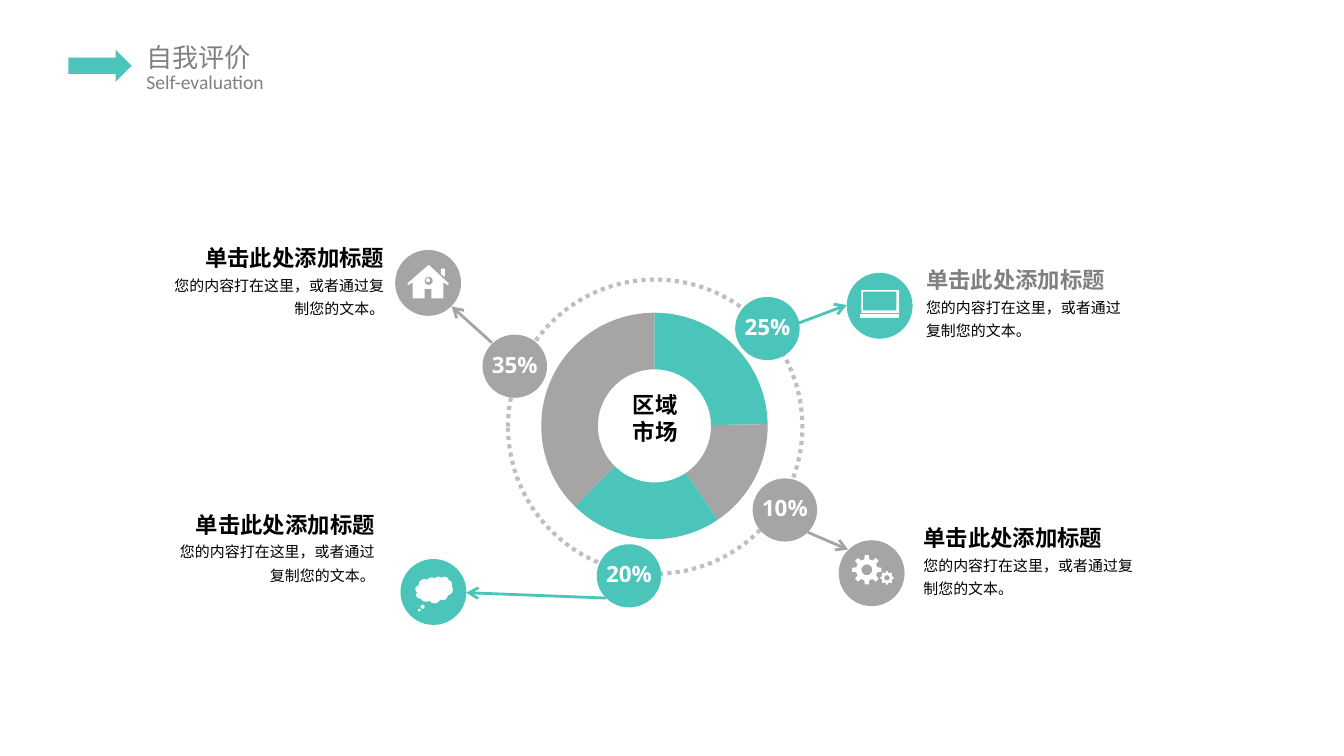
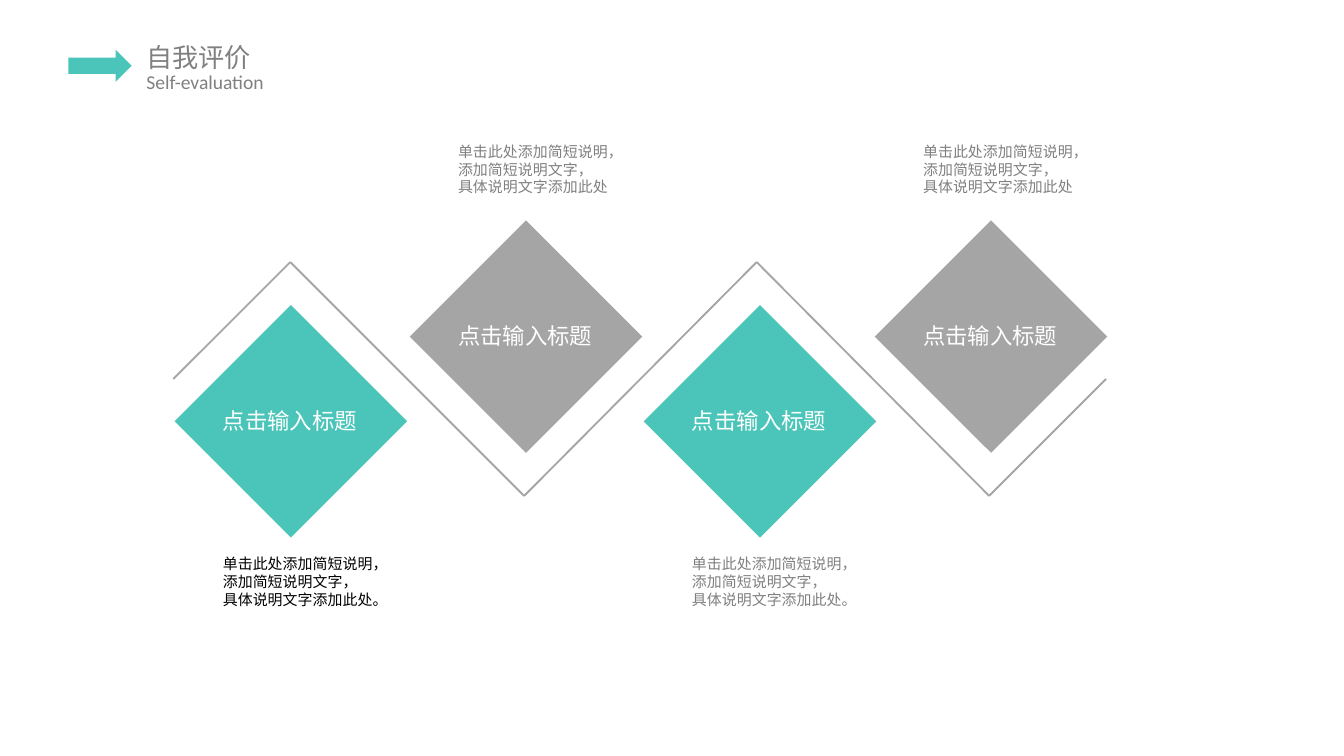
import itertools
import math

import lxml.etree
import pptx
import pptx.chart.data
import pptx.dml.color
import pptx.enum.chart
import pptx.enum.dml
import pptx.enum.shapes
import pptx.enum.text
import pptx.oxml
import pptx.oxml.ns
import pptx.util

Inches = pptx.util.Inches
Pt = pptx.util.Pt
SHAPE = pptx.enum.shapes.MSO_SHAPE
ALIGN = pptx.enum.text.PP_ALIGN
qn = pptx.oxml.ns.qn

COLORS = {
    "teal": "4BC5B9",
    "gray": "A5A5A5",
    "zigzag": "A6A6A6",
    "ring": "BFBFBF",
    "muted": "808080",
    "black": "000000",
    "white": "FFFFFF",
}
CJK, LATIN, DIGITS = "Noto Sans CJK SC", "Calibri", "Open Sans"


def color(name):
    return pptx.dml.color.RGBColor.from_string(COLORS[name])


def add_text(paragraph, text, size=12, font=CJK, ink="black", bold=False):
    span = paragraph.add_run()
    span.text = text
    span.font.size = Pt(size)
    span.font.bold = bold
    span.font.color.rgb = color(ink)
    span.font.name = font
    east_asian = lxml.etree.SubElement(span.font._element, qn("a:ea"))
    east_asian.set("typeface", font)


def circle_points(x, y, radius, count=24):
    angles = [2 * math.pi * step / count for step in range(count)]
    return [(x + radius * math.cos(a), y + radius * math.sin(a)) for a in angles]


def gear_points(x, y, outer, inner, teeth=8):
    """Outline that alternates between the tips and the roots of the teeth."""
    points = []
    for tooth in range(teeth):
        for shift, radius in ((-0.3, inner), (-0.17, outer), (0.17, outer), (0.3, inner)):
            angle = 2 * math.pi * (tooth + shift) / teeth
            points.append((x + radius * math.cos(angle), y + radius * math.sin(angle)))
    return points


def box_points(left, top, right, bottom):
    return [(left, top), (right, top), (right, bottom), (left, bottom)]


class Deck:
    def __init__(self):
        self.deck = pptx.Presentation()
        self.deck.slide_width = Inches(10)
        self.deck.slide_height = Inches(10) * 9 // 16
        self.page = None

    def new_page(self, title, subtitle):
        self.page = self.deck.slides.add_slide(self.deck.slide_layouts[6])
        heading = {"margins": (0.11, 0.05), "wrap": False, "ink": "muted"}
        self.text((0.98, 0.26, 1, 0.34), [title], size=14, **heading)
        self.text((0.98, 0.47, 1.11, 0.28), [subtitle], size=10.5, font=LATIN, **heading)
        self.shape(SHAPE.RIGHT_ARROW, (0.51, 0.37, 0.47, 0.24), "teal")

    def text(self, at, lines, margins=(0.1, 0.05), wrap=True, align=ALIGN.LEFT,
             spacing=None, **style):
        """Each line is a string, or a (string, extra style) pair."""
        frame = self.page.shapes.add_textbox(*map(Inches, at)).text_frame
        frame.word_wrap = wrap
        frame.auto_size = pptx.enum.text.MSO_AUTO_SIZE.SHAPE_TO_FIT_TEXT
        frame.margin_left = frame.margin_right = Inches(margins[0])
        frame.margin_top = frame.margin_bottom = Inches(margins[1])
        for number, line in enumerate(lines):
            words, extra = (line, {}) if isinstance(line, str) else line
            paragraph = frame.add_paragraph() if number else frame.paragraphs[0]
            paragraph.alignment = align
            if spacing:
                paragraph.line_spacing = spacing
            add_text(paragraph, words, **{**style, **extra})

    def paint(self, shape, fill):
        shape.shadow.inherit = False
        shape.line.fill.background()
        if fill:
            shape.fill.solid()
            shape.fill.fore_color.rgb = color(fill)
        else:
            shape.fill.background()
        return shape

    def shape(self, kind, at, fill=None):
        return self.paint(self.page.shapes.add_shape(kind, *map(Inches, at)), fill)

    def outline(self, *contours, fill="white"):
        """Filled freeform; contours after the first cut holes."""
        first, *holes = [[(Inches(x), Inches(y)) for x, y in points] for points in contours]
        builder = self.page.shapes.build_freeform(*first[0])
        builder.add_line_segments(first[1:], close=True)
        for hole in holes:
            builder.move_to(*hole[0])
            builder.add_line_segments(hole[1:], close=True)
        self.paint(builder.convert_to_shape(), fill)

    def line(self, start, end, ink, width, arrow=False):
        connector = self.page.shapes.add_connector(
            pptx.enum.shapes.MSO_CONNECTOR.STRAIGHT, *map(Inches, (*start, *end)))
        connector.line.color.rgb = color(ink)
        connector.line.width = Pt(width)
        if arrow:
            tail = lxml.etree.SubElement(connector.line._get_or_add_ln(), qn("a:tailEnd"))
            tail.set("type", "arrow")
        lxml.etree.SubElement(connector._element.spPr, qn("a:effectLst"))

    def doughnut(self, at, values, inks, hole, plot):
        """plot is the ring's left, top, width and height as shares of the chart."""
        data = pptx.chart.data.CategoryChartData()
        data.categories = [str(number + 1) for number in range(len(values))]
        data.add_series("Series 1", values)
        chart = self.page.shapes.add_chart(
            pptx.enum.chart.XL_CHART_TYPE.DOUGHNUT, *map(Inches, at), data).chart
        chart.has_legend = chart.has_title = False
        chart.font.size = Pt(18)
        chart.font.name = LATIN
        chart.font.color.rgb = color("black")
        series = chart.plots[0].series[0]
        for number, ink in enumerate(inks):
            part = series.points[number].format
            part.fill.solid()
            part.fill.fore_color.rgb = color(ink)
            part.line.fill.background()
        area = chart._chartSpace.find(".//" + qn("c:plotArea"))
        area.find(".//" + qn("c:holeSize")).set("val", str(hole))
        layout = area.find(qn("c:layout"))
        if layout is None:
            layout = lxml.etree.Element(qn("c:layout"))
            area.insert(0, layout)
        manual = lxml.etree.SubElement(layout, qn("c:manualLayout"))
        settings = [("layoutTarget", "inner"), ("xMode", "edge"), ("yMode", "edge")]
        for name, value in settings + list(zip("xywh", plot)):
            lxml.etree.SubElement(manual, qn("c:" + name)).set("val", str(value))


def draw_house(deck):
    right_half = [(3.19, 1.97), (3.34, 2.11), (3.33, 2.12), (3.3, 2.1), (3.3, 2.22),
                  (3.21, 2.22), (3.21, 2.15)]
    left_half = [(6.37 - x, y) for x, y in reversed(right_half[1:])]
    deck.outline(right_half + left_half, circle_points(3.19, 2.09, 0.03))
    deck.outline([(3.31, 2.06), (3.31, 2), (3.28, 2), (3.28, 2.04)])
    deck.shape(SHAPE.OVAL, (3.17, 2.07, 0.03, 0.03), "white")


def draw_laptop(deck):
    deck.outline(box_points(6.41, 2.16, 6.69, 2.33), box_points(6.42, 2.17, 6.67, 2.31))
    deck.outline(box_points(6.4, 2.34, 6.69, 2.37))


def draw_gears(deck):
    for x, y, outer, inner, hole in ((6.45, 4.24, 0.11, 0.08, 0.04),
                                     (6.6, 4.3, 0.05, 0.04, 0.02)):
        deck.outline(gear_points(x, y, outer, inner), circle_points(x, y, hole))


def draw_thought(deck):
    deck.shape(SHAPE.CLOUD, (3.09, 4.29, 0.28, 0.2), "white")
    deck.shape(SHAPE.OVAL, (3.13, 4.5, 0.03, 0.03), "white")
    deck.shape(SHAPE.OVAL, (3.11, 4.53, 0.02, 0.02), "white")


def market_page(deck):
    deck.doughnut((3.4, 2.19, 2.94, 1.96), (25, 16, 22, 38),
                  ("teal", "gray", "teal", "gray"), 57, (0.21, 0.07, 0.58, 0.86))
    ring = deck.shape(SHAPE.OVAL, (3.78, 2.08, 2.19, 2.19))
    ring.line.color.rgb = color("ring")
    ring.line.width = Pt(2.25)
    ring.line.dash_style = pptx.enum.dml.MSO_LINE.ROUND_DOT
    deck.text((4.49, 2.89, 0.77, 0.45), ["区域", "市场"], margins=(0.05, 0.02),
              align=ALIGN.CENTER, bold=True)

    # share, colour, percent disc, icon disc, arrow start, arrow end, icon
    regions = [
        ("35%", "gray", (3.59, 2.49), (2.94, 1.86), (3.66, 2.55), (3.36, 2.28), draw_house),
        ("25%", "teal", (5.47, 2.21), (6.3, 2.03), (5.9, 2.42), (6.3, 2.27), draw_laptop),
        ("10%", "gray", (5.6, 3.56), (6.24, 4.02), (6.01, 3.96), (6.31, 4.09), draw_gears),
        ("20%", "teal", (4.44, 4.05), (2.98, 4.16), (4.51, 4.45), (3.47, 4.41), draw_thought),
    ]
    for share, ink, disc, badge, start, end, draw_icon in regions:
        deck.shape(SHAPE.OVAL, (*disc, 0.48, 0.47), ink)
        deck.shape(SHAPE.OVAL, (*badge, 0.49, 0.49), ink)
        draw_icon(deck)
        deck.text((disc[0], disc[1] + 0.1, 0.48, 0.25), [share], margins=(0.05, 0.02),
                  align=ALIGN.CENTER, font=DIGITS, ink="white", bold=True)
        deck.line(start, end, ink, 1.5, arrow=True)

    captions = [
        (1.22, 1.74, 1.68, ALIGN.RIGHT, "black"),
        (1.29, 3.72, 1.54, ALIGN.RIGHT, "black"),
        (6.85, 1.9, 1.61, ALIGN.LEFT, "muted"),
        (6.83, 3.82, 1.71, ALIGN.LEFT, "black"),
    ]
    for left, top, width, align, ink in captions:
        deck.text((left, top, width, 0.65),
                  [("单击此处添加标题", {"bold": True, "ink": ink}),
                   ("您的内容打在这里，或者通过复制您的文本。", {"size": 8})],
                  margins=(0.04, 0.02), align=align, spacing=1.3)


def steps_page(deck):
    zigzag = [(1.29, 2.82), (2.16, 1.95), (3.9, 3.69), (5.63, 1.95), (7.36, 3.69), (8.23, 2.82)]
    for start, end in itertools.pairwise(zigzag):
        deck.line(start, end, "zigzag", 1)

    for number, left in enumerate((1.3, 3.05, 4.79, 6.51)):
        raised = number % 2 == 1
        top, note_top = (1.64, 1.01) if raised else (2.27, 4.08)
        deck.shape(SHAPE.DIAMOND, (left, top, 1.73, 1.73), "gray" if raised else "teal")
        deck.text((left + 0.26, top + 0.71, 1.21, 0.3), ["点击输入标题"],
                  wrap=False, ink="white")
        ending = "" if raised else "。"
        deck.text((left + 0.26, note_top, 1.9, 0.5),
                  ["单击此处添加简短说明，", "添加简短说明文字，", "具体说明文字添加此处" + ending],
                  size=8, ink="muted" if number else "black")


def main():
    deck = Deck()
    for draw_content in (market_page, steps_page):
        deck.new_page("自我评价", "Self-evaluation")
        draw_content(deck)
    deck.deck.save("out.pptx")


if __name__ == "__main__":
    main()
